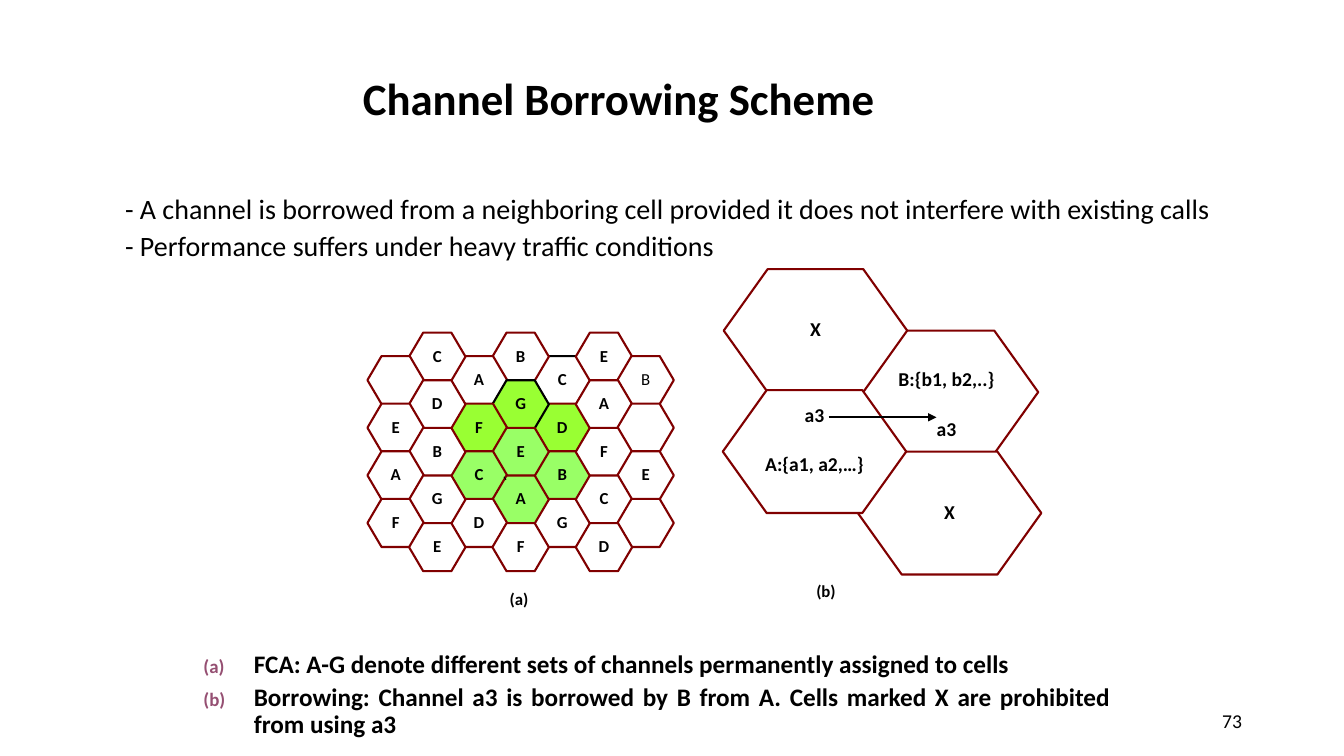
from lxml import etree
from pptx import Presentation
from pptx.dml.color import RGBColor
from pptx.enum.shapes import MSO_CONNECTOR, MSO_SHAPE
from pptx.enum.text import MSO_ANCHOR, PP_ALIGN
from pptx.oxml.ns import qn
from pptx.util import Inches, Pt

HEXAGON = MSO_SHAPE.HEXAGON
STRAIGHT = MSO_CONNECTOR.STRAIGHT
TOP, MIDDLE = MSO_ANCHOR.TOP, MSO_ANCHOR.MIDDLE
LEFT, CENTER, RIGHT, JUSTIFY = PP_ALIGN.LEFT, PP_ALIGN.CENTER, PP_ALIGN.RIGHT, PP_ALIGN.JUSTIFY

COLORS = {
    "text": "000000",
    "border": "800000",
    "cell": "FFFFFF",
    "lime": "99FF33",
    "mint": "99FF66",
    "number": "954F72",
}


def rgb(name):
    return RGBColor.from_string(COLORS[name])


class SlideBuilder:
    """Style and current slide; every box is (left, top, width, height) in percent of the slide."""

    font = "Calibri"

    def __init__(self, prs):
        self.width, self.height = prs.slide_width, prs.slide_height
        self.slide = prs.slides.add_slide(prs.slide_layouts[5])

    def place(self, x, y):
        return round(self.width * x / 100), round(self.height * y / 100)

    def frame(self, box):
        return (*self.place(*box[:2]), *self.place(*box[2:]))

    def set_text(self, shape, lines, size, bold=False, align=CENTER, anchor=TOP,
                 wrap=False, spacing=0.9, gap=0):
        text = shape.text_frame
        text.word_wrap = wrap
        text.vertical_anchor = anchor
        text.text = "\n".join(lines)
        for index, paragraph in enumerate(text.paragraphs):
            paragraph.alignment = align
            paragraph.line_spacing = spacing
            paragraph.space_before = Pt(gap if index else 0)
            paragraph.font.name = self.font
            paragraph.font.size = Pt(size)
            paragraph.font.bold = bold
            paragraph.font.color.rgb = rgb("text")
        return text

    def title(self, box, words):
        heading = self.slide.shapes.title
        heading.left, heading.top, heading.width, heading.height = self.frame(box)
        self.set_text(heading, [words], 32, bold=True, align=LEFT, spacing=1)

    def text(self, box, lines, size, **style):
        return self.set_text(self.slide.shapes.add_textbox(*self.frame(box)), lines, size, **style)

    def numbered(self, box, items, size):
        text = self.text(box, items, size, bold=True, align=JUSTIFY, wrap=True, gap=size / 5)
        for paragraph in text.paragraphs:
            props = paragraph._p.get_or_add_pPr()
            props.set("marL", str(Inches(0.5)))
            props.set("indent", str(-Inches(0.5)))
            color = etree.Element(qn("a:buClr"))
            etree.SubElement(color, qn("a:srgbClr"), val=COLORS["number"])
            scale = etree.Element(qn("a:buSzPct"), val="75000")
            numbering = etree.Element(qn("a:buAutoNum"), type="alphaLcParenBoth")
            for element in (color, scale, numbering):
                props.find(qn("a:defRPr")).addprevious(element)

    def hexagon(self, box, lines, size, slant, fill="cell", border="border", bold=True, gap=0):
        cell = self.slide.shapes.add_shape(HEXAGON, *self.frame(box))
        cell.adjustments[0] = slant
        cell.shadow.inherit = False
        cell.fill.solid()
        cell.fill.fore_color.rgb = rgb(fill)
        cell.line.color.rgb = rgb(border)
        cell.line.width = Pt(1.5)
        if lines:
            return self.set_text(cell, lines, size, bold=bold, anchor=MIDDLE, gap=gap)

    def line(self, start, end, width, arrow=False):
        connector = self.slide.shapes.add_connector(STRAIGHT, *self.place(*start), *self.place(*end))
        connector.line.color.rgb = rgb("text")
        connector.line.width = Pt(width)
        props = connector._element.spPr
        if arrow:
            etree.SubElement(props.find(qn("a:ln")), qn("a:tailEnd"), type="triangle")
        etree.SubElement(props, qn("a:effectLst"))


def draw_reuse_pattern(page):
    """Honeycomb of cells: one string per column, a dash for an unlabelled cell."""
    columns = ["-EAF", "CDBGE", "AFCD", "BGEAF", "CDBG", "EAFCD", "B-E-"]
    stacking = [4, 5, 3, 2, 1, 0, 6]
    fills = {(3, 1): "lime", (2, 1): "lime", (4, 1): "lime",
             (3, 2): "mint", (2, 2): "mint", (4, 2): "mint", (3, 3): "mint"}
    black_bordered = {(4, 0), (3, 1)}
    for row in range(5):
        for column in stacking:
            if row >= len(columns[column]):
                continue
            spot = (column, row)
            label = columns[column][row]
            top = (44 if column % 2 else 47.1) + 6.3 * row
            page.hexagon((27.34 + 3.1 * column, top, 4.2, 6.36),
                         [] if label == "-" else [label], 12, 0.294,
                         fill=fills.get(spot, "cell"),
                         border="text" if spot in black_bordered else "border",
                         bold=spot != (6, 0))
    page.line((37.65, 63.47), (37.5, 63.07), 0.75)
    page.text((37.05, 77.47, 3.15, 3.73), ["(a)"], 12, bold=True)


def draw_borrowing(page):
    def large_cell(left, top, lines):
        return page.hexagon((left, top, 13.65, 16.27), lines, 14, 0.357, gap=20)

    borrower = large_cell(63.6, 43.73, ["B:{b1, b2,..}", "a3"])
    borrower.margin_top = Inches(0.31)
    large_cell(53.85, 35.6, ["X"])
    large_cell(63.83, 59.73, ["X"])
    lender = large_cell(53.78, 51.6, ["a3", "A:{a1, a2,…}"])
    lender.margin_bottom = Inches(0.26)
    page.line((61.65, 55.2), (69.68, 55.2), 1.5, arrow=True)
    page.text((59.85, 76.4, 3.22, 3.73), ["(b)"], 12, bold=True)


def main():
    prs = Presentation()
    prs.slide_width, prs.slide_height = Inches(13.33), Inches(7.5)
    page = SlideBuilder(prs)
    page.title((26.25, 8.67, 45.45, 8.53), "Channel Borrowing Scheme")
    page.text((70.65, 92.67, 22.5, 5.33), ["73"], 14, align=RIGHT, anchor=MIDDLE,
              wrap=True, spacing=1)
    points = page.text((9.3, 24.93, 82.2, 18.13), [
        "- A channel is borrowed from a neighboring cell provided it does not interfere "
        "with existing calls",
        "- Performance suffers under heavy traffic conditions",
    ], 20, align=LEFT, wrap=True, spacing=1.1)
    points.margin_left = points.margin_right = points.margin_top = points.margin_bottom = 0
    draw_reuse_pattern(page)
    draw_borrowing(page)
    page.numbered((14.4, 85.6, 69, 13.07), [
        "FCA: A-G denote different sets of channels permanently assigned to cells",
        "Borrowing: Channel a3 is borrowed by B from A. Cells marked X are prohibited "
        "from using a3",
    ], 18)
    prs.save("out.pptx")


if __name__ == "__main__":
    main()
